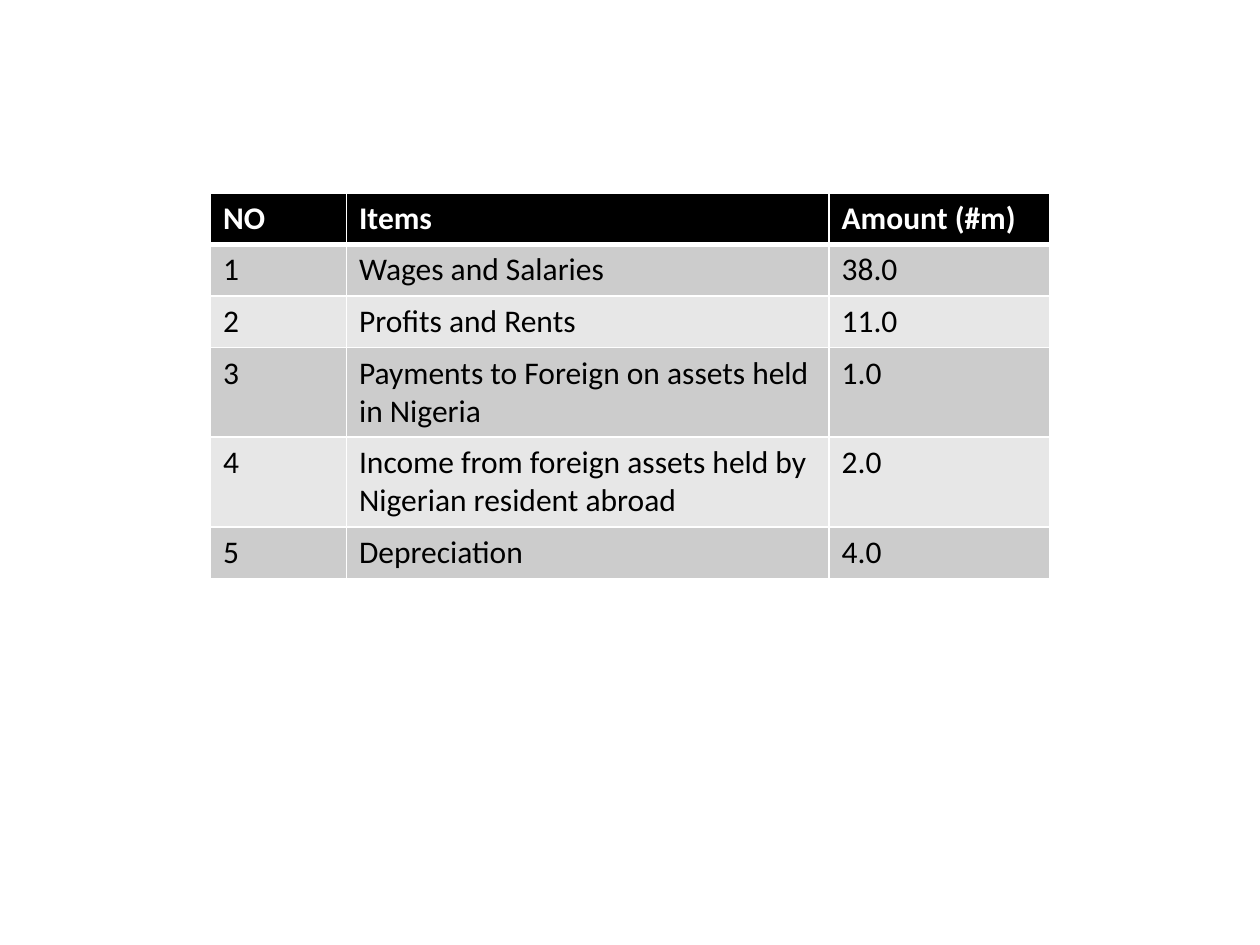
"""Build a slide with a table of national income items."""
from dataclasses import dataclass

from lxml import etree
from pptx import Presentation
from pptx.dml.color import RGBColor
from pptx.oxml import ns
from pptx.table import _Cell
from pptx.util import Inches, Pt

BLACK = RGBColor(0x00, 0x00, 0x00)
WHITE = RGBColor(0xFF, 0xFF, 0xFF)
DARK_BAND = RGBColor(0xCC, 0xCC, 0xCC)
LIGHT_BAND = RGBColor(0xE7, 0xE7, 0xE7)
COLUMN_WIDTHS = (1.08, 3.83, 1.75)
ROW_HEIGHT = 0.41


@dataclass(frozen=True)
class Row:
    number: str
    item: str
    amount: str


@dataclass(frozen=True)
class RowStyle:
    fill: RGBColor
    color: RGBColor
    bold: bool = False
    top: float = 1
    bottom: float = 1


ROWS = (
    Row("NO", "Items", "Amount (#m)"),
    Row("1", "Wages and Salaries", "38.0"),
    Row("2", "Profits and Rents", "11.0"),
    Row("3", "Payments to Foreign on assets held in Nigeria", "1.0"),
    Row("4", "Income from foreign assets held by Nigerian resident abroad", "2.0"),
    Row("5", "Depreciation", "4.0"),
)


def row_style(index: int) -> RowStyle:
    if index == 0:
        return RowStyle(BLACK, WHITE, bold=True, bottom=3)
    return RowStyle(DARK_BAND if index % 2 else LIGHT_BAND, BLACK, top=3 if index == 1 else 1)


def add_border(cell: _Cell, side: str, width: float) -> None:
    tc_pr = cell._tc.get_or_add_tcPr()
    line = etree.SubElement(tc_pr, ns.qn(f"a:ln{side}"), w=str(Pt(width)))
    fill = etree.SubElement(line, ns.qn("a:solidFill"))
    etree.SubElement(fill, ns.qn("a:srgbClr"), val=str(WHITE))


def fill_cell(cell: _Cell, words: str, style: RowStyle) -> None:
    for side, width in (("L", 1), ("R", 1), ("T", style.top), ("B", style.bottom)):
        add_border(cell, side, width)
    cell.fill.solid()
    cell.fill.fore_color.rgb = style.fill
    r = cell.text_frame.paragraphs[0].add_run()
    r.text = words
    r.font.name = "Calibri"
    r.font.size = Pt(18)
    r.font.bold = style.bold
    r.font.color.rgb = style.color


def main() -> None:
    prs = Presentation()
    prs.slide_width, prs.slide_height = Inches(10), Inches(7.5)
    s = prs.slides.add_slide(prs.slide_layouts[6])
    table = s.shapes.add_table(
        len(ROWS), len(COLUMN_WIDTHS), Inches(1.67), Inches(1.53),
        Inches(sum(COLUMN_WIDTHS)), Inches(ROW_HEIGHT * len(ROWS)),
    ).table
    for column, width in zip(table.columns, COLUMN_WIDTHS):
        column.width = Inches(width)
    for i, row in enumerate(ROWS):
        table.rows[i].height = Inches(ROW_HEIGHT)
        for j, words in enumerate((row.number, row.item, row.amount)):
            fill_cell(table.cell(i, j), words, row_style(i))
    prs.save("out.pptx")


if __name__ == "__main__":
    main()
